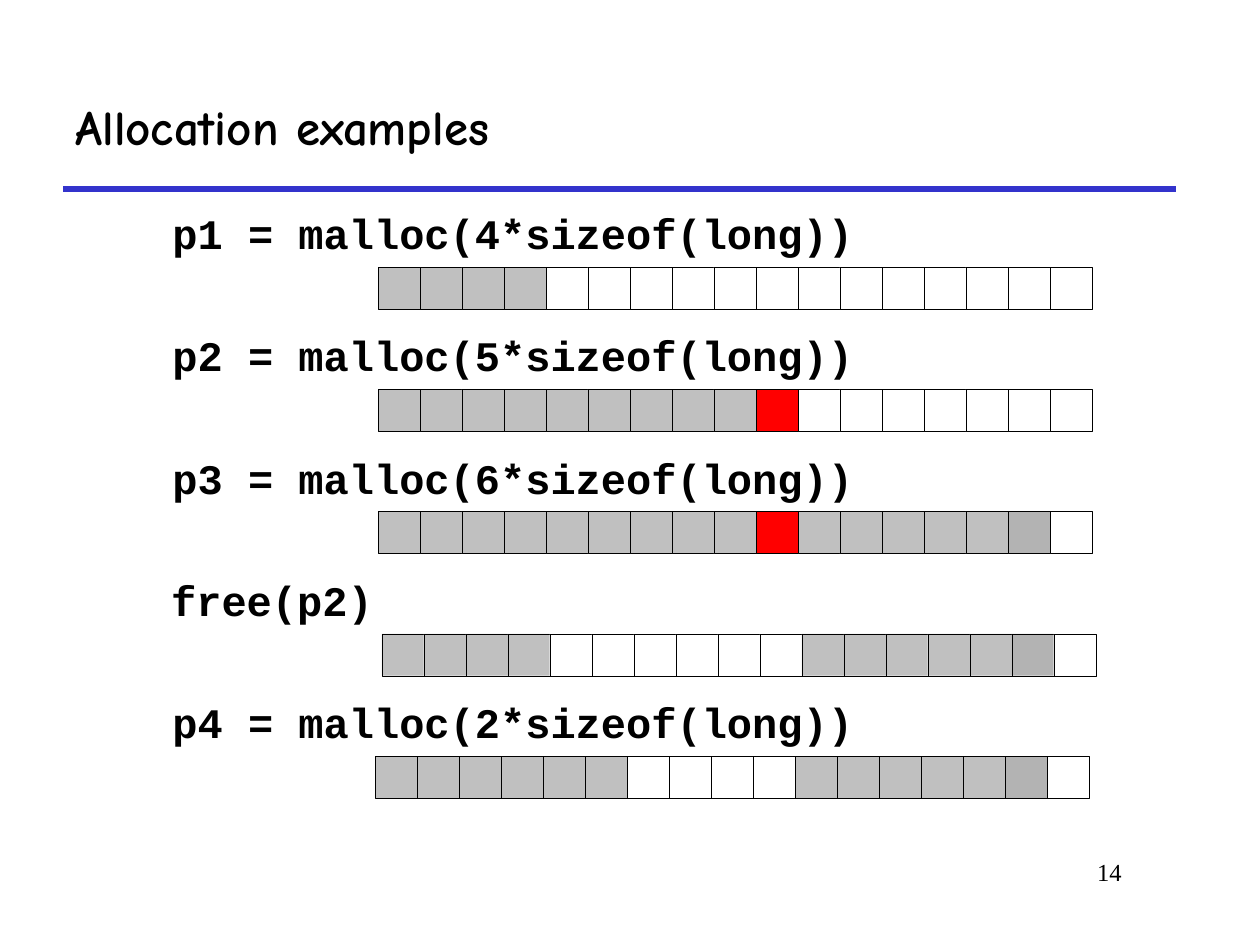
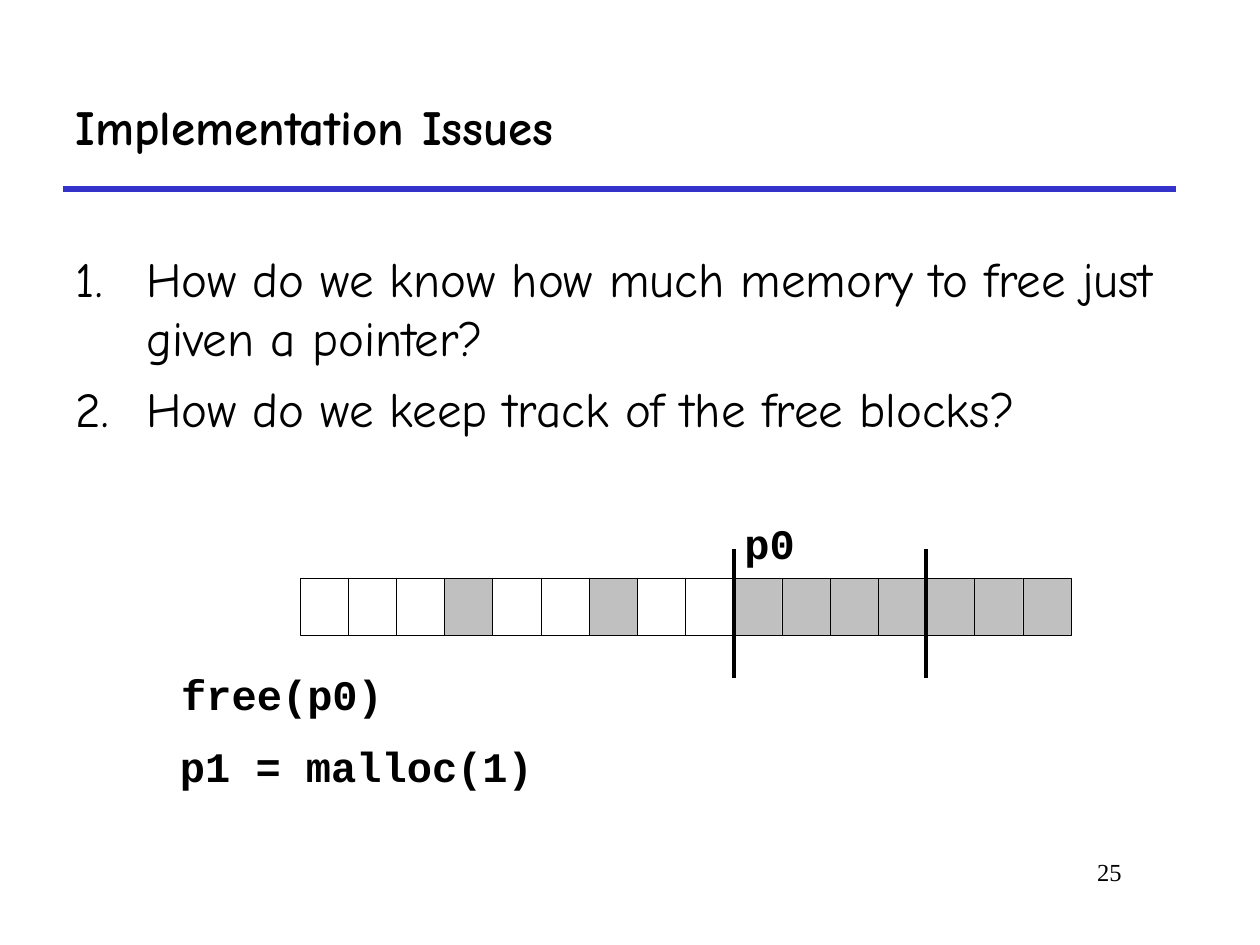
from lxml.etree import SubElement
from pptx import Presentation
from pptx.dml.color import RGBColor
from pptx.enum.shapes import MSO_CONNECTOR as Connector, MSO_SHAPE as Shape
from pptx.enum.text import MSO_ANCHOR as Anchor, MSO_AUTO_SIZE as AutoSize, PP_ALIGN as Align
from pptx.oxml.ns import qn
from pptx.util import Inches, Pt

BLACK = "000000"
BLUE = "3333CC"
HAND_FONT = "Comic Neue"
CODE_FONT = "Courier New"
PAGE_FONT = "Times New Roman"
CELL_COLORS = {"-": "FFFFFF", "u": "C0C0C0", "d": "B3B3B3", "r": "FF0000"}

TITLE_ONLY = 5
TITLE_AND_BODY = 1

ALLOCATION_STEPS = [
    ("p1 = malloc(4*sizeof(long))", 1.27, 5.6, 3, "u" * 4 + "-" * 13),
    ("p2 = malloc(5*sizeof(long))", 1.27, 5.6, 3, "u" * 9 + "r" + "-" * 7),
    ("p3 = malloc(6*sizeof(long))", 1.27, 5.6, 3, "u" * 9 + "r" + "u" * 5 + "d-"),
    ("free(p2)", 1.26, 1.8, 3.03, "u" * 4 + "-" * 6 + "u" * 5 + "d-"),
    ("p4 = malloc(2*sizeof(long))", 1.27, 5.6, 2.98, "u" * 6 + "-" * 4 + "u" * 5 + "d-"),
]
STEP_GAP = 0.97
QUESTIONS = [
    "How do we know how much memory to free just given a pointer?",
    "How do we keep track of the free blocks?",
]


def color(value):
    return RGBColor.from_string(value)


def style_paragraph(paragraph, font_name, size, bold=False, align=Align.LEFT):
    paragraph.alignment = align
    font = paragraph.font
    font.name = font_name
    font.size = Pt(size)
    font.bold = bold
    font.color.rgb = color(BLACK)


def place(shape, left, top, width, height):
    shape.left, shape.top = Inches(left), Inches(top)
    shape.width, shape.height = Inches(width), Inches(height)


def add_line(slide, start, end, line_color, width):
    line = slide.shapes.add_connector(
        Connector.STRAIGHT, *(Inches(value) for value in start + end))
    line.line.color.rgb = color(line_color)
    line.line.width = Pt(width)
    SubElement(line._element.spPr, qn("a:effectLst"))


def add_text(slide, text, left, top, width, font_name, size, bold=False,
             align=Align.LEFT, wrap=False):
    box = slide.shapes.add_textbox(
        Inches(left), Inches(top), Inches(width), Inches(0.5))
    frame = box.text_frame
    frame.word_wrap = wrap
    frame.text = text
    style_paragraph(frame.paragraphs[0], font_name, size, bold, align)


def add_code(slide, text, left, top, width):
    add_text(slide, text, left, top, width, CODE_FONT, 24, bold=True)


def add_cells(shapes, pattern, left, top, width, height):
    for index, state in enumerate(pattern):
        cell = shapes.add_shape(
            Shape.RECTANGLE, Inches(left + index * width), Inches(top),
            Inches(width), Inches(height))
        cell.shadow.inherit = False
        cell.fill.solid()
        cell.fill.fore_color.rgb = color(CELL_COLORS[state])
        cell.line.color.rgb = color(BLACK)
        cell.line.width = Pt(0.26)


def add_numbered_list(slide, items):
    body = slide.placeholders[1]
    place(body, 0.5, 1.92, 8.83, 1.83)
    frame = body.text_frame
    frame.text = "\n".join(items)
    frame.auto_size = AutoSize.NONE
    for paragraph in frame.paragraphs:
        paragraph.space_before = Pt(7)
        properties = paragraph._p.get_or_add_pPr()
        properties.set("marL", str(Inches(0.56)))
        properties.set("indent", str(-Inches(0.56)))
        SubElement(properties, qn("a:buFont"), typeface=HAND_FONT)
        SubElement(properties, qn("a:buAutoNum"), type="arabicPeriod")
        style_paragraph(paragraph, HAND_FONT, 28)


def add_slide(presentation, layout, title, page):
    slide = presentation.slides.add_slide(presentation.slide_layouts[layout])
    add_line(slide, (0.5, 1.5), (9.33, 1.5), BLUE, 3)
    add_text(slide, page, 7.58, 6.75, 1.42, PAGE_FONT, 14,
             align=Align.RIGHT, wrap=True)
    heading = slide.shapes.title
    place(heading, 0.5, 0.5, 8.83, 1)
    frame = heading.text_frame
    frame.text = title
    frame.auto_size = AutoSize.NONE
    frame.vertical_anchor = Anchor.MIDDLE
    style_paragraph(frame.paragraphs[0], HAND_FONT, 28, bold=True)
    return slide


def build_allocation_examples(presentation):
    slide = add_slide(presentation, TITLE_ONLY, "Allocation examples", "14")
    for index, (code, code_left, code_width, left, pattern) in enumerate(ALLOCATION_STEPS):
        offset = index * STEP_GAP
        group = slide.shapes.add_group_shape()
        add_cells(group.shapes, pattern, left, 2.12 + offset, 1 / 3, 1 / 3)
        add_code(slide, code, code_left, 1.6 + offset, code_width)


def build_implementation_issues(presentation):
    slide = add_slide(presentation, TITLE_AND_BODY, "Implementation Issues", "25")
    add_numbered_list(slide, QUESTIONS)
    left, width = 2.38, 6.12 / 16
    add_cells(slide.shapes, "---u--u--" + "u" * 7, left, 4.59, width, 0.45)
    add_code(slide, "p1 = malloc(1)", 1.33, 5.83, 3.33)
    add_code(slide, "p0", 5.81, 4.06, 0.6)
    add_code(slide, "free(p0)", 1.34, 5.26, 1.8)
    for boundary in (9, 13):
        x = left + boundary * width
        add_line(slide, (x, 4.36), (x, 5.38), BLACK, 2.24)


def main():
    presentation = Presentation()
    presentation.slide_width = Inches(10)
    presentation.slide_height = Inches(7.5)
    build_allocation_examples(presentation)
    build_implementation_issues(presentation)
    presentation.save("out.pptx")


main()
